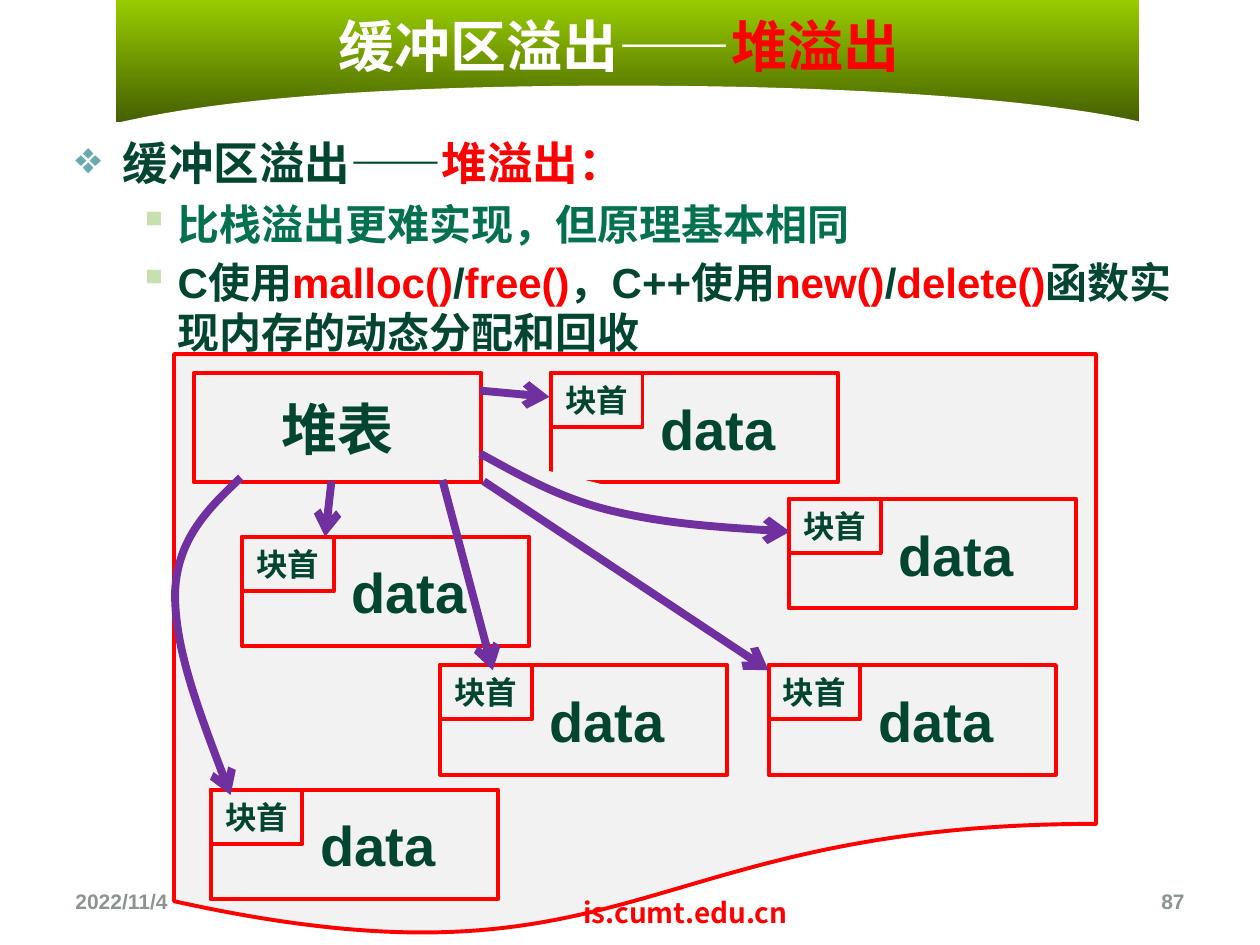
from dataclasses import dataclass

from lxml.etree import SubElement
from pptx import Presentation
from pptx.dml.color import RGBColor
from pptx.enum.shapes import MSO_CONNECTOR, MSO_SHAPE
from pptx.enum.text import MSO_ANCHOR as Anchor, PP_ALIGN as Align
from pptx.oxml.ns import qn
from pptx.util import Pt


@dataclass(frozen=True)
class Theme:
    """Colours, fonts and type sizes of the slide."""
    white: str = "FFFFFF"
    lime: str = "99CC00"
    olive: str = "456000"
    red: str = "FF0000"
    ink: str = "024631"
    green: str = "03714F"
    panel: str = "F2F2F2"
    purple: str = "7030A0"
    gray: str = "8C9490"
    teal: str = "69AAB1"
    pale: str = "C8E0B0"
    latin: str = "Arial"
    cjk: str = "Noto Sans CJK SC"
    large: float = 32
    lead: float = 26
    point: float = 24
    label: float = 18
    site: float = 16
    small: float = 12


THEME = Theme()


def rgb(color):
    """Turn a hex string into a colour."""
    return RGBColor.from_string(color)


def style_paragraph(paragraph, size, font=THEME.latin, color=None):
    """Set the bold font shared by all runs of a paragraph."""
    paragraph.font.size = Pt(size)
    paragraph.font.bold = True
    paragraph.font.name = font
    if color:
        paragraph.font.color.rgb = rgb(color)
    SubElement(paragraph.font._element, qn("a:ea"), typeface=THEME.cjk)


def add_runs(paragraph, runs):
    """Append coloured runs to a paragraph."""
    for text, color in runs:
        run = paragraph.add_run()
        run.text = text
        run.font.color.rgb = rgb(color)


def add_text_box(shapes, box, anchor=Anchor.TOP):
    """Add a wrapping text box and return its text frame."""
    frame = shapes.add_textbox(*map(Pt, box)).text_frame
    frame.word_wrap = True
    frame.vertical_anchor = anchor
    return frame


def add_bezier(shapes, points, left=0, top=0, closed=False):
    """Draw a chain of cubic curves from a start point and triples."""
    places = [(Pt(left + x), Pt(top + y)) for x, y in points]
    builder = shapes.build_freeform(*places[0])
    builder.add_line_segments(places[1:], close=closed)
    shape = builder.convert_to_shape()
    shape.shadow.inherit = False
    lines = list(shape._element.iter(qn("a:lnTo")))[:len(points) - 1]
    for start in range(0, len(lines), 3):
        curve = lines[start]
        curve.tag = qn("a:cubicBezTo")
        for line in lines[start + 1:start + 3]:
            curve.append(line[0])
            line.getparent().remove(line)
    return shape


def add_banner(shapes, left, top, width, height):
    """Draw the gradient banner, its curved lower edge and the title."""
    band = shapes.add_shape(MSO_SHAPE.RECTANGLE, *map(Pt, (left, top, width, height)))
    band.shadow.inherit = False
    band.line.fill.background()
    band.fill.gradient()
    band.fill.gradient_angle = 270
    for stop, color in zip(band.fill.gradient_stops, (THEME.lime, THEME.olive)):
        stop.color.rgb = rgb(color)

    right_end, left_end, crest = (595.5, 72.7), (-18, 74.9), (300.3, 49)
    edge = add_bezier(shapes, [
        crest, (520.6, 49.7), (595.5, 71.3), right_end,
        right_end, left_end, left_end,
        (13, 67), (80.7, 48.2), crest], left, top, closed=True)
    edge.fill.solid()
    edge.fill.fore_color.rgb = rgb(THEME.white)
    edge.line.fill.background()

    frame = add_text_box(shapes, (left - 42.4, top + 3.6, 660, 44.6), Anchor.MIDDLE)
    paragraph = frame.paragraphs[0]
    paragraph.alignment = Align.CENTER
    style_paragraph(paragraph, THEME.large, THEME.cjk)
    add_runs(paragraph, [("缓冲区溢出——", THEME.white), ("堆溢出", THEME.red)])


def add_bullet(paragraph, char, color, margin, indent):
    """Give a paragraph a coloured bullet and a hanging indent."""
    properties = paragraph._p.get_or_add_pPr()
    properties.set("marL", str(Pt(margin)))
    properties.set("indent", str(-Pt(indent)))
    bullet_color = SubElement(properties, qn("a:buClr"))
    SubElement(bullet_color, qn("a:srgbClr"), val=color)
    SubElement(properties, qn("a:buChar"), char=char)


def add_body(shapes, left, top, width, height):
    """Write the bulleted explanation."""
    ink, red = THEME.ink, THEME.red
    lead = ("❖", THEME.teal, 27, 27)
    point = ("▪", THEME.pale, 58.5, 22.5)
    rows = [
        (lead, THEME.lead, 31, [("缓冲区溢出——", ink), ("堆溢出：", red)]),
        (point, THEME.point, 28.5, [("比栈溢出更难实现，但原理基本相同", THEME.green)]),
        (point, THEME.point, 28.5, [
            ("C使用", ink), ("malloc()", red), ("/", ink), ("free()", red),
            ("，C++使用", ink), ("new()", red), ("/", ink), ("delete()", red),
            ("函数实现内存的动态分配和回收", ink)]),
    ]
    frame = add_text_box(shapes, (left, top, width, height))
    for index, (bullet, size, pitch, runs) in enumerate(rows):
        paragraph = frame.add_paragraph() if index else frame.paragraphs[0]
        paragraph.level = 1 if index else 0
        add_bullet(paragraph, *bullet)
        paragraph.line_spacing = Pt(pitch)
        paragraph.space_before = Pt(5 if index else 0)
        style_paragraph(paragraph, size)
        add_runs(paragraph, runs)


def add_panel(shapes, box, text="", size=THEME.large, kind=MSO_SHAPE.RECTANGLE, inset=7.2):
    """Draw a red-edged gray shape with centred text."""
    shape = shapes.add_shape(kind, *map(Pt, box))
    shape.shadow.inherit = False
    shape.fill.solid()
    shape.fill.fore_color.rgb = rgb(THEME.panel)
    shape.line.color.rgb = rgb(THEME.red)
    shape.line.width = Pt(2.25)
    if text:
        frame = shape.text_frame
        frame.margin_left = Pt(inset)
        frame.vertical_anchor = Anchor.MIDDLE
        paragraph = frame.paragraphs[0]
        paragraph.text = text
        paragraph.alignment = Align.CENTER
        style_paragraph(paragraph, size, color=THEME.ink)


def add_heap_block(shapes, left, top, width, height):
    """Draw one heap block with its header cell."""
    add_panel(shapes, (left, top, width, height), "data", inset=34)
    add_panel(shapes, (left, top, 52.5, 31), "块首", THEME.label)


def finish_arrow(shape):
    """Give a line or curve the purple arrow style."""
    shape.line.color.rgb = rgb(THEME.purple)
    shape.line.width = Pt(4.5)
    SubElement(shape.line._get_or_add_ln(), qn("a:tailEnd"), type="arrow")


def add_arrow(shapes, left, top, points):
    """Draw a straight or curved pointer."""
    if len(points) == 2:
        ends = [Pt(value) for x, y in points for value in (left + x, top + y)]
        arrow = shapes.add_connector(MSO_CONNECTOR.STRAIGHT, *ends)
        SubElement(arrow._element.spPr, qn("a:effectLst"))
    else:
        arrow = add_bezier(shapes, points, left, top)
        arrow.fill.solid()
        arrow.fill.fore_color.rgb = rgb(THEME.panel)
    finish_arrow(arrow)


def add_heap(slide_shapes, left, top, width, height):
    """Draw the heap, its table, the blocks and the pointers."""
    shapes = slide_shapes.add_group_shape().shapes
    block_size = (164.2, 62.6)
    add_panel(shapes, (left, top, width, height), kind=MSO_SHAPE.FLOWCHART_DOCUMENT)
    add_panel(shapes, (left + 11.5, top + 10.8, *block_size), "堆表")
    for x, y in [(38.9, 104.4), (21, 249), (152, 177.8),
                 (339.8, 177.8), (351.4, 82.8), (215.3, 10.8)]:
        add_heap_block(shapes, left + x, top + y, *block_size)
    for points in [
        [(90, 72.7), (86.4, 104.4)],
        [(38.2, 70.6), (20.2, 87.8), (2.2, 105), (0.7, 135.4),
         (0, 165.6), (15.8, 208.8), (32.4, 252)],
        [(175, 20.9), (214.6, 24.5)],
        [(175, 56.9), (197.3, 69), (219.6, 82), (249, 89.3),
         (278.6, 96.5), (315.4, 99.4), (352, 101.5)],
        [(177, 72.7), (339.8, 180.7)],
        [(153.4, 72), (182.2, 180.7)],
    ]:
        add_arrow(shapes, left, top, points)


def add_footer(shapes, left, top, width, height):
    """Write the date, the site address and the slide number."""
    side = 168
    for text, box, align, anchor, size, font, color in [
        ("2022/11/4", (left, top, side, height), Align.LEFT, Anchor.MIDDLE,
         THEME.small, THEME.latin, THEME.gray),
        ("is.cumt.edu.cn", (left + 244.8, top + 7.9, 221.8, 26.6), Align.CENTER, Anchor.TOP,
         THEME.site, THEME.cjk, THEME.red),
        ("87", (left + width - side, top, side, height), Align.RIGHT, Anchor.MIDDLE,
         THEME.small, THEME.latin, THEME.gray),
    ]:
        paragraph = add_text_box(shapes, box, anchor).paragraphs[0]
        paragraph.text = text
        paragraph.alignment = align
        style_paragraph(paragraph, size, font, color)


def main():
    """Build and save the slide."""
    presentation = Presentation()
    presentation.slide_width, presentation.slide_height = Pt(720), Pt(540)
    shapes = presentation.slides.add_slide(presentation.slide_layouts[6]).shapes
    add_banner(shapes, 66.2, 0, 584.6, 69.8)
    add_body(shapes, 36, 74, 648, 430)
    add_heap(shapes, 99.4, 202.3, 527, 334.8)
    add_footer(shapes, 36, 500.4, 648, 28.8)
    presentation.save("out.pptx")


if __name__ == "__main__":
    main()
